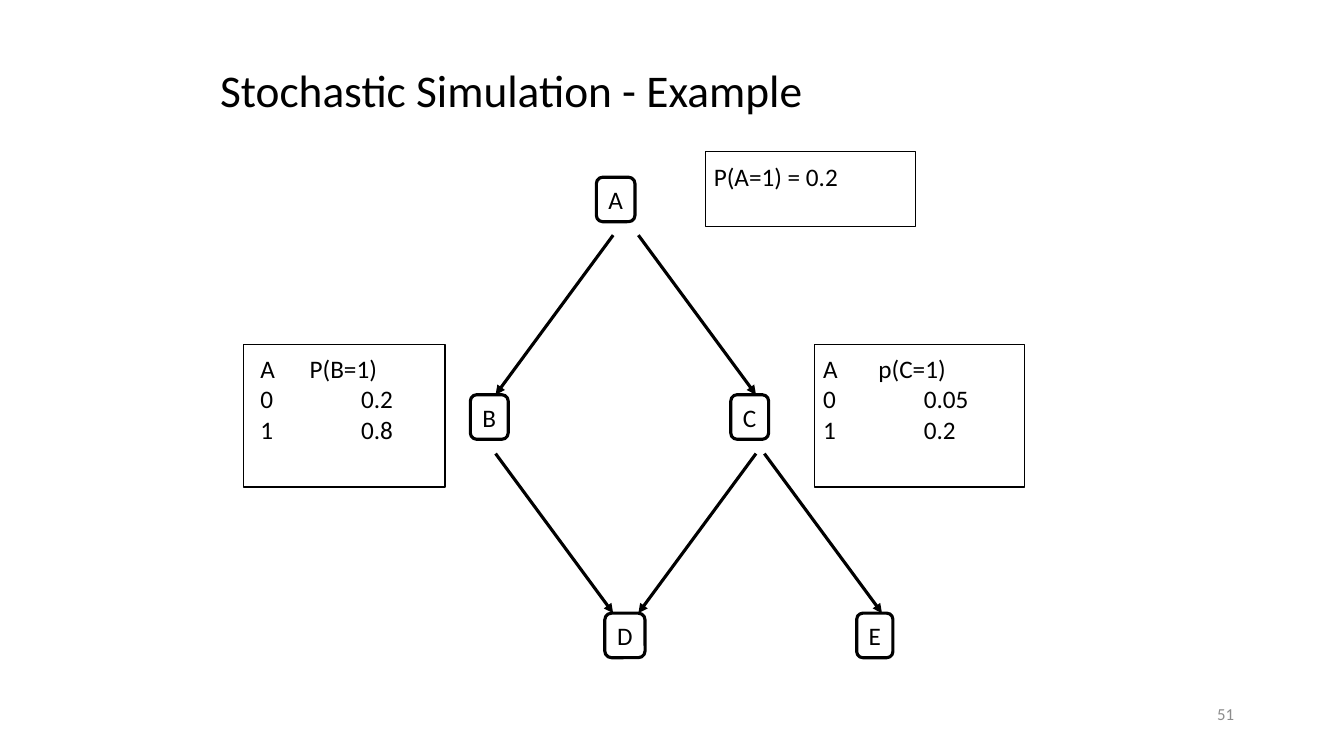
"""Build the stochastic simulation example slide: a Bayesian network with its probability tables."""
from lxml import etree
from pptx import Presentation
from pptx.dml.color import RGBColor
from pptx.enum.shapes import MSO_CONNECTOR, MSO_SHAPE
from pptx.enum.text import MSO_ANCHOR, MSO_AUTO_SIZE, PP_ALIGN
from pptx.oxml.ns import qn
from pptx.util import Inches, Pt

TITLE = "Stochastic Simulation - Example"
PAGE = "51"
# Grid positions are in cells of 1/12 inch: 160 columns by 90 rows.
NODES = [("A", 71, 21.1, 4.6), ("B", 56, 47, 4.5), ("C", 87, 47, 4.5),
         ("D", 72, 73, 4.8), ("E", 102, 73, 4.3)]
NODE_ROWS = 5.3
ARROWS = [(76, 28, 90, 47), (73, 28, 59, 47), (59, 54, 73, 73),
          (90, 54, 76, 73), (91, 54, 105, 73)]
TABLES = [
    (["P(A=1) = 0.2"], (84, 18, 25, 9), (83.8, 18.6), 0),
    (["A\tP(B=1)", "0\t0.2", "1\t0.8"], (29, 41, 24, 17), (29.8, 41.5), 0.49),
    (["A\tp(C=1)", "0\t0.05", "1\t0.2"], (97, 41, 25, 17), (96.8, 41.5), 0.55),
]
VALUE_TAB = 1.0

FONT = "Calibri"
BLACK = RGBColor(0, 0, 0)
GRAY = RGBColor(0x8C, 0x8C, 0x8C)


def grid(*cells):
    """Convert grid cells to lengths."""
    return [Inches(c / 12) for c in cells]


def write(tf, lines, size=18, color=BLACK, align=PP_ALIGN.LEFT,
          anchor=MSO_ANCHOR.TOP, wrap=True, tabs=(), spacing=None):
    """Fill a text frame with one paragraph per line."""
    tf.word_wrap = wrap
    tf.auto_size = MSO_AUTO_SIZE.NONE
    tf.vertical_anchor = anchor
    for i, line in enumerate(lines):
        p = tf.paragraphs[0] if i == 0 else tf.add_paragraph()
        p.alignment = align
        p.line_spacing = spacing
        if "\t" in line:
            tab_list = etree.SubElement(p._p.get_or_add_pPr(), qn("a:tabLst"))
            stop = tabs[0] if i == 0 else tabs[1]
            etree.SubElement(tab_list, qn("a:tab"), pos=str(Inches(stop)), algn="l")
        r = p.add_run()
        r.text = line
        r.font.name, r.font.size, r.font.color.rgb = FONT, Pt(size), color


def add_outline(shapes, kind, cells, width):
    """Add an unfilled black outline."""
    sp = shapes.add_shape(kind, *grid(*cells))
    sp.shadow.inherit = False
    sp.fill.background()
    sp.line.color.rgb = BLACK
    sp.line.width = Pt(width)
    return sp


def add_arrow(shapes, cells):
    """Add a straight arrow between two grid points."""
    cx = shapes.add_connector(MSO_CONNECTOR.STRAIGHT, *grid(*cells))
    cx.line.color.rgb = BLACK
    cx.line.width = Pt(2.25)
    etree.SubElement(cx.line._get_or_add_ln(), qn("a:tailEnd"), type="triangle")
    etree.SubElement(cx._element.spPr, qn("a:effectLst"))


def main():
    """Lay out the slide and save it."""
    prs = Presentation()
    prs.slide_width, prs.slide_height = grid(160, 90)
    s = prs.slides.add_slide(prs.slide_layouts[5])
    shapes = s.shapes

    title = shapes.title
    title.left, title.top, title.width, title.height = grid(25, 9, 102, 4)
    write(title.text_frame, [TITLE], size=32.4, anchor=MSO_ANCHOR.MIDDLE, spacing=0.9)

    page = shapes.add_textbox(*grid(114.7, 82, 33.4, 6))
    write(page.text_frame, [PAGE], size=12, color=GRAY, align=PP_ALIGN.RIGHT,
          anchor=MSO_ANCHOR.MIDDLE)

    for name, col, row, cols in NODES:
        sp = add_outline(shapes, MSO_SHAPE.ROUNDED_RECTANGLE,
                         (col, row, cols, NODE_ROWS), 2.25)
        write(sp.text_frame, [name], align=PP_ALIGN.CENTER,
              anchor=MSO_ANCHOR.MIDDLE, wrap=False)
    for cells in ARROWS:
        add_arrow(shapes, cells)

    for lines, frame, (col, row), head_tab in TABLES:
        box = shapes.add_textbox(*grid(col, row, 20, 4 * len(lines) + 1))
        write(box.text_frame, lines, tabs=(head_tab, VALUE_TAB))
        add_outline(shapes, MSO_SHAPE.RECTANGLE, frame, 1)

    prs.save("out.pptx")


if __name__ == "__main__":
    main()
